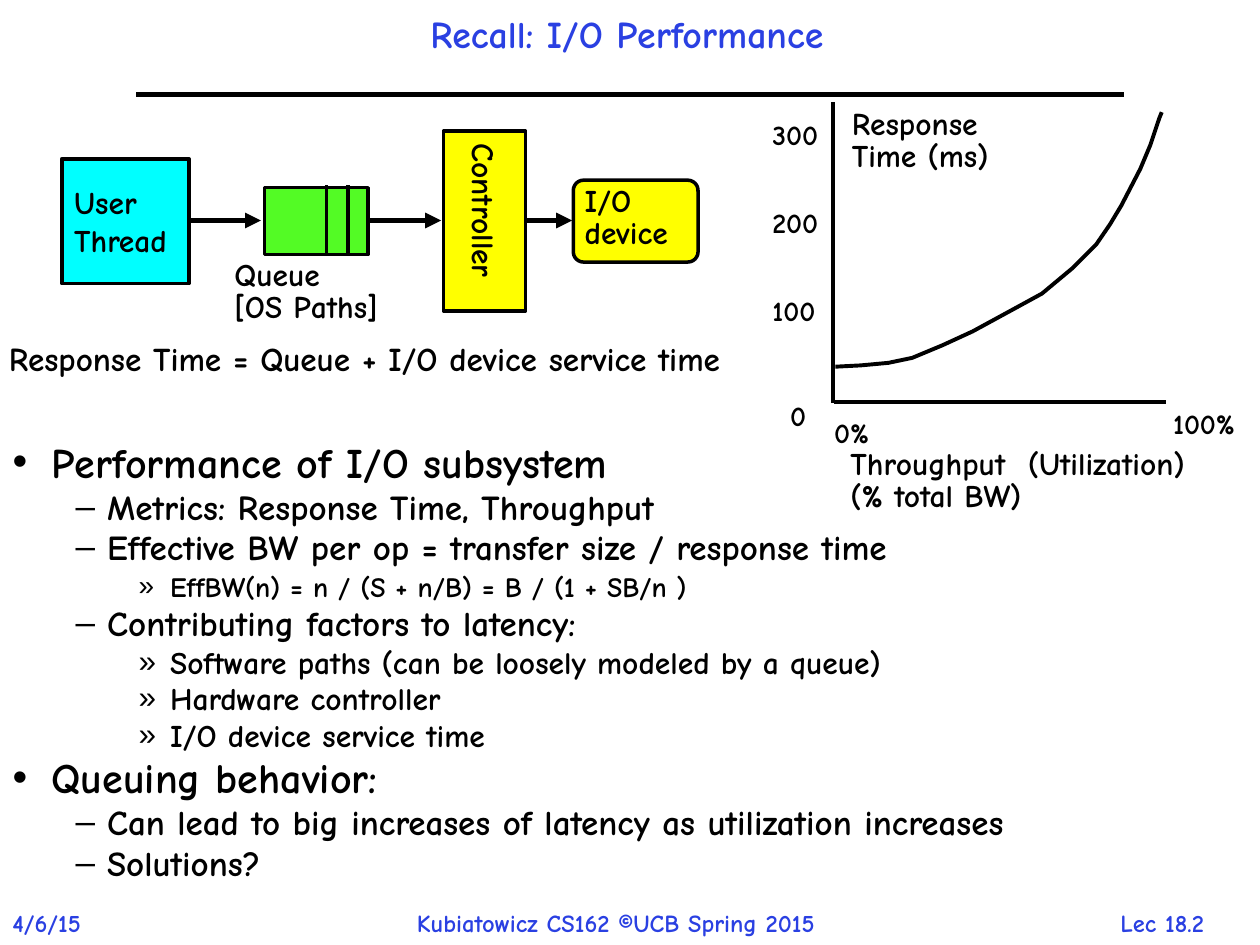
from dataclasses import dataclass
from typing import NamedTuple

from lxml.etree import SubElement as Sub
from pptx import Presentation
from pptx.dml.color import RGBColor as Rgb
from pptx.enum.shapes import MSO_CONNECTOR as Link, MSO_SHAPE as Kind
from pptx.enum.text import MSO_ANCHOR as Anchor, MSO_AUTO_SIZE as Fit, PP_ALIGN as Align
from pptx.oxml.ns import qn
from pptx.util import Pt

SCALE = 9144  # EMU per px, 100 px to the inch


@dataclass(frozen=True)
class Theme:
    font: str = "Comic Neue"
    ink: str = "000000"
    blue: str = "2A40E2"
    cyan: str = "00FFFF"
    green: str = "53FB25"
    gold: str = "FFFF00"
    title: float = 21.6
    head: float = 24
    sub: float = 20
    sum: float = 19
    label: float = 18
    tick: float = 16
    foot: float = 14


class Area(NamedTuple):
    x: int
    y: int
    w: int
    h: int


class Label(NamedTuple):
    text: str
    area: Area
    size: float
    gap: float = 0.85


class Box(NamedTuple):
    area: Area
    fill: str
    kind: Kind = Kind.RECTANGLE
    text: str = ""
    turn: bool = False


class Wire(NamedTuple):
    x1: int
    y1: int
    x2: int
    y2: int
    width: float = 2
    arrow: bool = False


class Level(NamedTuple):
    mark: str
    left: int
    hang: int


class Item(NamedTuple):
    level: int
    text: str
    size: float
    lead: float = 0.2


T = Theme()
LEVELS = [Level("•", 31, 31), Level("–", 75, 25), Level("»", 125, 25)]

ITEMS = [
    Item(0, "Performance of I/O subsystem", T.head, 0),
    Item(1, "Metrics: Response Time, Throughput", T.sub),
    Item(1, "Effective BW per op = transfer size / response time", T.sub),
    Item(2, "EffBW(n) = n / (S + n/B) = B / (1 + SB/n )", T.tick, 0.3),
    Item(1, "Contributing factors to latency:", T.sub),
    Item(2, "Software paths (can be loosely modeled by a queue)", T.label),
    Item(2, "Hardware controller", T.label),
    Item(2, "I/O device service time", T.label),
    Item(0, "Queuing behavior:", T.head),
    Item(1, "Can lead to big increases of latency as utilization increases", T.sub),
    Item(1, "Solutions?", T.sub),
]

BOXES = [
    Box(Area(49, 126, 101, 99), T.cyan, text="User\nThread"),
    Box(Area(210, 149, 82, 53), T.green),
    Box(Area(352, 104, 65, 143), T.gold, text="Controller", turn=True),
    Box(Area(455, 143, 99, 65), T.gold, Kind.ROUNDED_RECTANGLE),
]

WIRES = [
    Wire(108, 75, 892, 75, 3),  # rule under the title
    *(Wire(a, 175, b, 175, 3, True) for a, b in [(150, 207), (294, 350), (417, 454)]),
    *(Wire(x, 203, x, 147) for x in (259, 276)),  # queue slots
    Wire(661, 320, 661, 81),  # response axis
    Wire(662, 319, 925, 319),  # throughput axis
]

LABELS = [
    Label("Queue\n[OS Paths]", Area(179, 204, 148, 57), T.label),
    Label("I/O\ndevice", Area(457, 145, 93, 58), T.label),
    Label("Response Time = Queue + I/O device service time", Area(0, 270, 667, 34), T.sum),
    Label("Response\nTime (ms)", Area(669, 84, 135, 58), T.label),
    Label("Throughput  (Utilization)\n(% total BW)", Area(668, 354, 316, 57), T.label),
    *(Label(str(n), Area(606, 303 - 70 * n // 100, 55, 30), T.tick, 0.9) for n in (100, 200, 300)),
    Label("0", Area(620, 316, 28, 30), T.tick, 0.9),
    Label("0%", Area(655, 330, 47, 30), T.tick, 0.9),
    Label("100%", Area(924, 323, 73, 30), T.tick, 0.9),
]

CURVE = [(663, 291), (683, 290), (705, 288), (724, 284), (748, 274), (772, 263),
         (805, 245), (827, 233), (851, 213), (870, 194), (881, 178), (890, 163),
         (905, 134), (913, 115), (920, 94), (922, 89)]


def px(n: int) -> int:
    return n * SCALE


def place(area: Area) -> list[int]:
    return [px(n) for n in area]


def style(para, size: float, color: str = T.ink, gap: float = 1) -> None:
    para.line_spacing = gap
    font = para.font
    font.name, font.size, font.bold = T.font, Pt(size), True
    font.color.rgb = Rgb.from_string(color)


def write(frame, text: str, size: float, color: str = T.ink, gap: float = 1,
          align: Align = Align.LEFT) -> None:
    frame.word_wrap = True
    for i, line in enumerate(text.split("\n")):
        para = frame.add_paragraph() if i else frame.paragraphs[0]
        para.text, para.alignment = line, align
        style(para, size, color, gap)


def draw_wire(shapes, wire: Wire) -> None:
    line = shapes.add_connector(Link.STRAIGHT, *(px(n) for n in wire[:4]))
    line.line.width = Pt(wire.width)
    line.line.color.rgb = Rgb.from_string(T.ink)
    if wire.arrow:
        Sub(line.line._get_or_add_ln(), qn("a:tailEnd"), type="triangle")
    Sub(line._element.spPr, qn("a:effectLst"))


def draw_box(shapes, box: Box) -> None:
    shape = shapes.add_shape(box.kind, *place(box.area))
    shape.shadow.inherit = False
    shape.fill.solid()
    shape.fill.fore_color.rgb = Rgb.from_string(box.fill)
    shape.line.color.rgb = Rgb.from_string(T.ink)
    shape.line.width = Pt(2)
    if box.kind == Kind.ROUNDED_RECTANGLE:
        shape.adjustments[0] = 0.125
    if box.text:
        frame = shape.text_frame
        frame.vertical_anchor = Anchor.MIDDLE
        write(frame, box.text, T.label)
        if box.turn:
            frame._txBody.bodyPr.set("vert", "eaVert")


def draw_label(shapes, label: Label) -> None:
    frame = shapes.add_textbox(*place(label.area)).text_frame
    frame.margin_left = frame.margin_right = px(7)
    frame.margin_top = frame.margin_bottom = px(3)
    write(frame, label.text, label.size, gap=label.gap)


def draw_foot(shapes, text: str, area: Area, align: Align = Align.LEFT) -> None:
    frame = shapes.add_textbox(*place(area)).text_frame
    write(frame, text, T.foot, T.blue, align=align)


def draw_curve(shapes) -> None:
    pen = shapes.build_freeform(*CURVE[0], scale=SCALE)
    pen.add_line_segments(CURVE[1:], close=False)
    curve = pen.convert_to_shape()
    curve.shadow.inherit = False
    curve.fill.background()
    curve.line.color.rgb = Rgb.from_string(T.ink)
    curve.line.width = Pt(2.25)


def fill_list(frame) -> None:
    frame.auto_size = Fit.NONE
    for i, item in enumerate(ITEMS):
        para = frame.add_paragraph() if i else frame.paragraphs[0]
        level = LEVELS[item.level]
        para.text, para.level = item.text, item.level
        props = para._p.get_or_add_pPr()
        props.set("marL", str(px(level.left)))
        props.set("indent", str(-px(level.hang)))
        Sub(props, qn("a:buChar"), char=level.mark)
        style(para, item.size, gap=0.8)
        para.space_before = Pt(round(item.size * item.lead, 1))


def main() -> None:
    deck = Presentation()
    deck.slide_width, deck.slide_height = px(1000), px(750)
    slide = deck.slides.add_slide(deck.slide_layouts[1])
    shapes = slide.shapes

    # Title and list
    title, body = slide.placeholders
    for holder, area in ((title, Area(85, 8, 825, 42)), (body, Area(0, 349, 1000, 358))):
        holder.left, holder.top, holder.width, holder.height = place(area)
    title.text_frame.vertical_anchor = Anchor.MIDDLE
    title.text_frame.auto_size = Fit.NONE
    write(title.text_frame, "Recall: I/O Performance", T.title, T.blue, 0.9, Align.CENTER)
    fill_list(body.text_frame)

    # Request flow and graph
    for box in BOXES:
        draw_box(shapes, box)
    for wire in WIRES:
        draw_wire(shapes, wire)
    draw_curve(shapes)
    for label in LABELS:
        draw_label(shapes, label)

    # Footer
    draw_foot(shapes, "4/6/15", Area(0, 716, 88, 34))
    draw_foot(shapes, "Kubiatowicz CS162 ©UCB Spring 2015", Area(321, 716, 387, 34))
    draw_foot(shapes, "Lec 18.2", Area(856, 716, 133, 33), Align.CENTER)

    deck.save("out.pptx")


if __name__ == "__main__":
    main()
